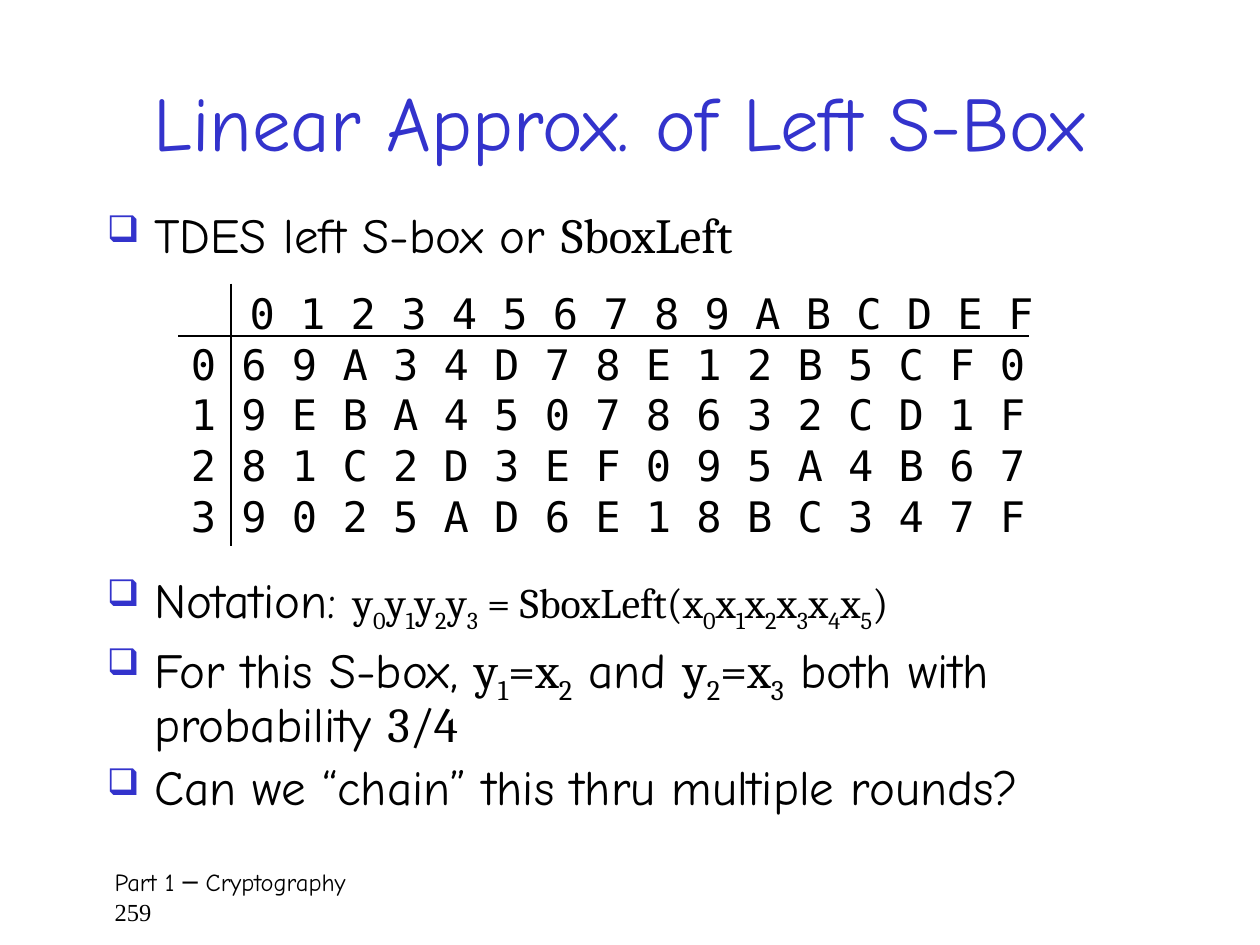
"""Build the slide on linear approximation of the left S-box."""
from lxml import etree
from pptx import Presentation, util as u
from pptx.dml.color import RGBColor
from pptx.enum import shapes, text
from pptx.oxml.ns import qn

COLORS = {"ink": "000000", "blue": "3333CC"}
HAND, SERIF, MONO, ROMAN = "Comic Neue", "Cambria", "DejaVu Sans Mono", "Times New Roman"

TITLE = "Linear Approx. of Left S-Box"
INTRO = [[("TDES left S-box or ", HAND, 28), ("SboxLeft", SERIF, 28)]]
HEAD = "0123456789ABCDEF"
ROWS = ["69A34D78E12B5CF0", "9EBA45078632CD1F", "81C2D3EF095A4B67", "9025AD6E18BC347F"]
NOTES = [
    [("Notation: ", HAND, 28),
     ("y_0y_1y_2y_3 = SboxLeft(x_0x_1x_2x_3x_4x_5)", SERIF, 24)],
    [("For this S-box, ", HAND, 28), ("y_1=x_2", SERIF, 28), (" and ", HAND, 28),
     ("y_2=x_3", SERIF, 28), (" both with probability ", HAND, 28), ("3/4", SERIF, 28)],
    [("Can we “chain” this thru multiple rounds?", HAND, 28)],
]
FOOT = [[("Part 1 ─ Cryptography", HAND, 14)], [("259", ROMAN, 14)]]
RULES = [(132, 162, 132, 312), (102, 192, 588, 192)]


def add_run(para, words, face, size, color, sub=False):
    run = para.add_run()
    run.text = words
    run.font.name, run.font.size = face, u.Pt(size)
    run.font.color.rgb = RGBColor.from_string(COLORS[color])
    if sub:
        run.font._element.set("baseline", "-25000")


def add_runs(para, parts, color):
    for words, face, size in parts:
        first, *rest = words.split("_")
        add_run(para, first, face, size, color)
        for piece in rest:
            add_run(para, piece[0], face, size, color, True)
            if piece[1:]:
                add_run(para, piece[1:], face, size, color)


def add_bullet(para):
    props = para._p.get_or_add_pPr()
    props.set("marL", str(u.Pt(27)))
    props.set("indent", str(u.Pt(-27)))
    tint = etree.SubElement(props, qn("a:buClr"))
    etree.SubElement(tint, qn("a:srgbClr")).set("val", COLORS["blue"])
    etree.SubElement(props, qn("a:buSzPct")).set("val", "75000")
    etree.SubElement(props, qn("a:buChar")).set("char", "❑")


def add_box(slide, place, paras, color="ink", bullet=False, lead=None, gap=0):
    frame = slide.shapes.add_textbox(*map(u.Pt, place)).text_frame
    frame.word_wrap = True
    for i, parts in enumerate(paras):
        para = frame.add_paragraph() if i else frame.paragraphs[0]
        if bullet:
            add_bullet(para)
        if lead:
            para.line_spacing = lead
        if i and gap:
            para.space_before = u.Pt(gap)
        add_runs(para, parts, color)
    return frame


def add_rule(slide, ends):
    rule = slide.shapes.add_connector(shapes.MSO_CONNECTOR.STRAIGHT, *map(u.Pt, ends))
    rule.line.width = u.Pt(0.75)
    rule.line.color.rgb = RGBColor.from_string(COLORS["ink"])
    etree.SubElement(rule._element.spPr, qn("a:effectLst"))


def main():
    deck = Presentation()
    deck.slide_width, deck.slide_height = u.Pt(720), u.Pt(540)
    slide = deck.slides.add_slide(deck.slide_layouts[6])

    foot = add_box(slide, (54, 492, 618, 36), FOOT)
    foot.margin_left = u.Pt(11.5)
    title = add_box(slide, (36, 24, 636, 90), [[(TITLE, HAND, 44)]], "blue")
    title.vertical_anchor = text.MSO_ANCHOR.MIDDLE
    title.paragraphs[0].alignment = text.PP_ALIGN.CENTER
    add_box(slide, (54, 108, 606, 54), INTRO, bullet=True).margin_top = u.Pt(9)

    lines = [" ".join(HEAD)] + [" ".join(f"{i}{row}") for i, row in enumerate(ROWS)]
    grid = add_box(slide, (102, 156, 498, 156), [[(line, MONO, 24)] for line in lines],
                   lead=u.Pt(29))
    grid.margin_top = u.Pt(8)
    grid.paragraphs[0]._p.get_or_add_pPr().set("marL", str(u.Pt(33.6)))

    for ends in RULES:
        add_rule(slide, ends)
    add_box(slide, (54, 318, 600, 168), NOTES, bullet=True, lead=0.9, gap=5.6).margin_top = u.Pt(9)
    deck.save("out.pptx")


if __name__ == "__main__":
    main()
